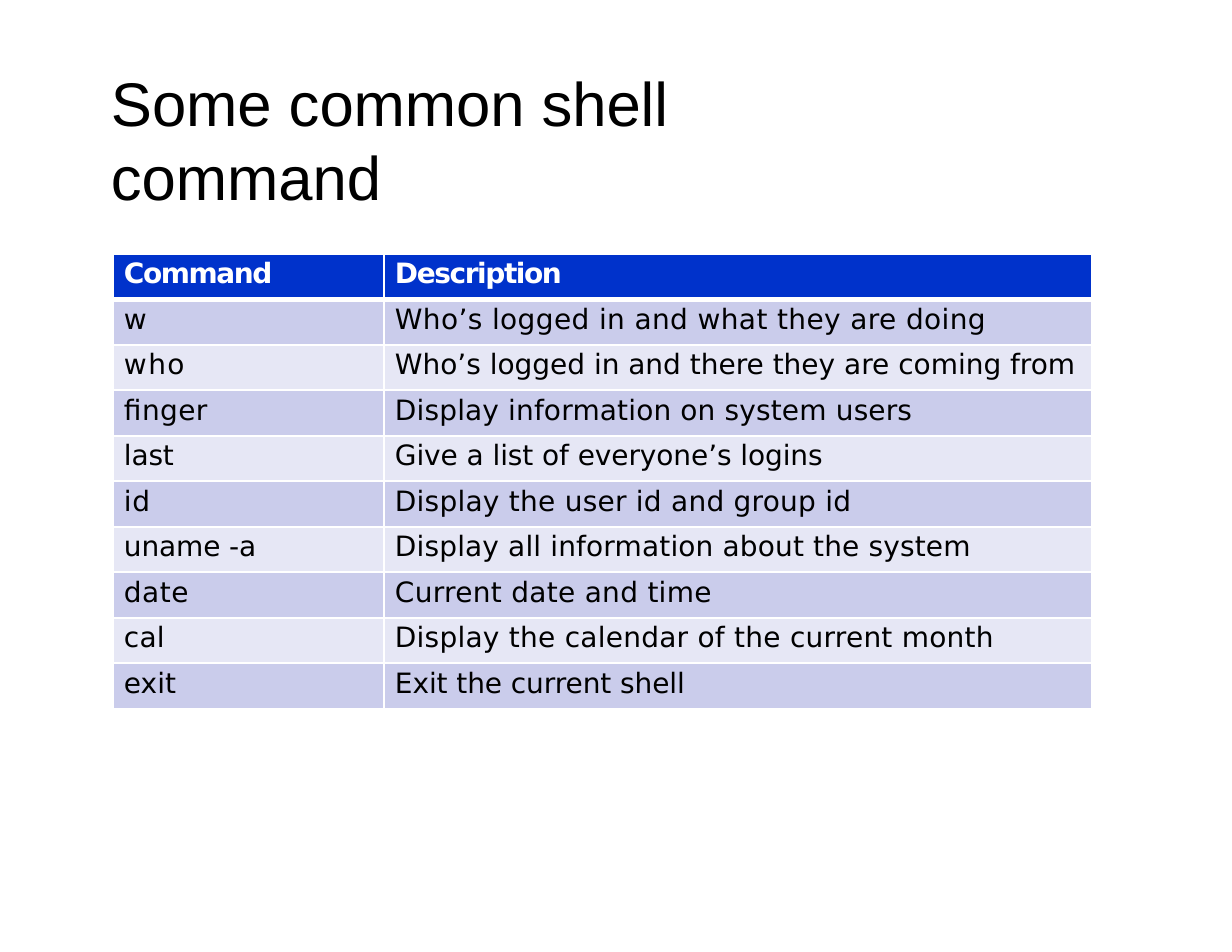
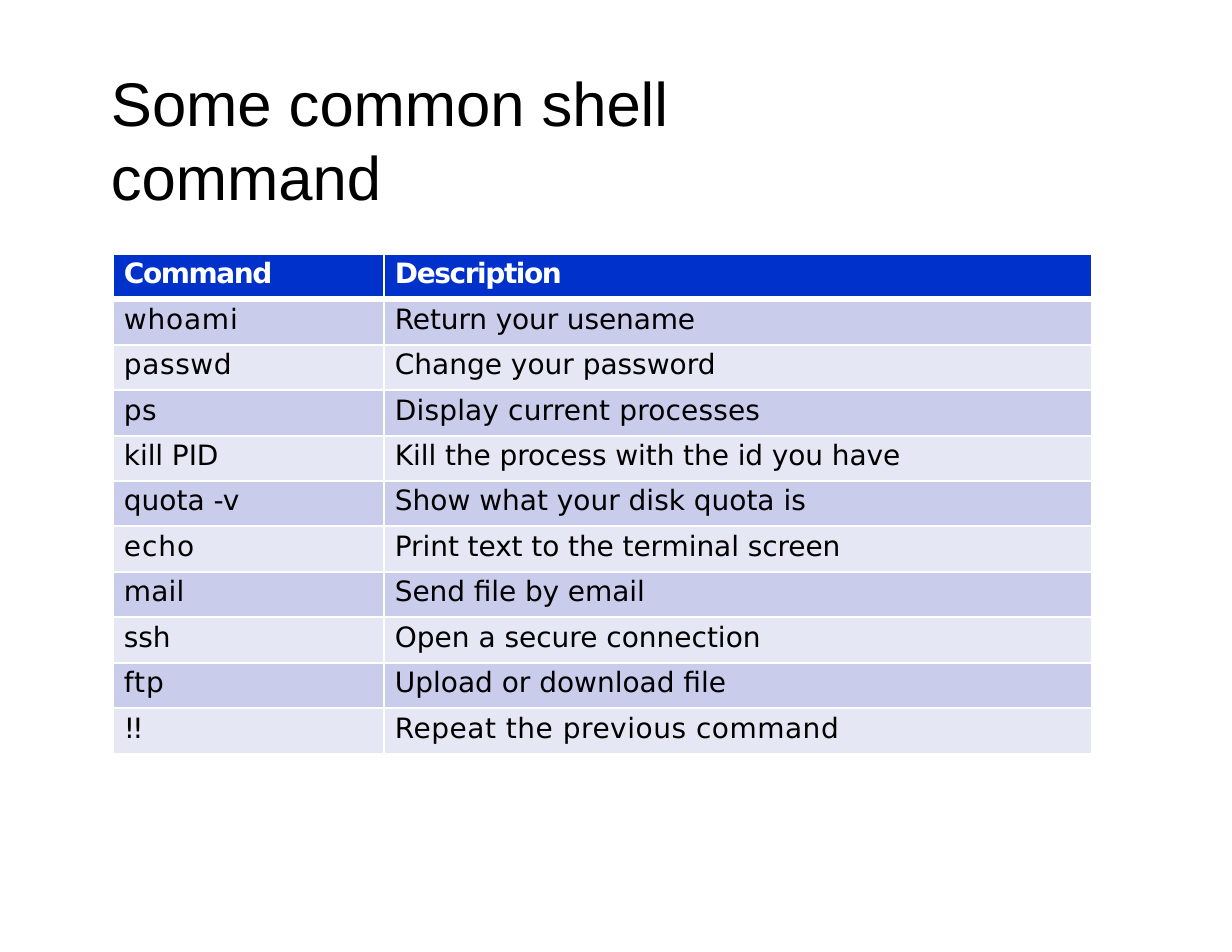
"""Build two slides that list common shell commands in tables."""
from dataclasses import dataclass

from lxml.etree import SubElement
from pptx import Presentation
from pptx.dml.color import RGBColor
from pptx.enum.text import MSO_ANCHOR, MSO_AUTO_SIZE, PP_ALIGN
from pptx.oxml.ns import qn
from pptx.presentation import Presentation as Deck
from pptx.slide import Slide
from pptx.table import _Cell as Cell
from pptx.text.text import TextFrame
from pptx.util import Emu, Pt

WHITE = RGBColor(0xFF, 0xFF, 0xFF)
BLACK = RGBColor(0x00, 0x00, 0x00)
HEADER_BLUE = RGBColor(0x00, 0x32, 0xCB)
BAND_DARK = RGBColor(0xCA, 0xCC, 0xEB)
BAND_LIGHT = RGBColor(0xE6, 0xE7, 0xF5)

TITLE = "Some common shell command"
TITLE_FONT = "Arial"
TABLE_FONT = "DejaVu Sans"
TITLE_ONLY_LAYOUT = 5
PAGE_WIDTH, PAGE_HEIGHT = 1232, 952
COLUMN_WIDTHS = (271, 708)
TWO_ROWS_HEIGHT = 91
THIN_BORDER, OUTER_BORDER, HEADER_BORDER = 1.5, 1, 4.25


@dataclass(frozen=True)
class Label:
    """A cell text with its letter spacing in points."""

    text: str
    spacing: float = 0


@dataclass(frozen=True)
class CommandRow:
    """A command and what it does."""

    command: Label
    description: Label


HEADER = CommandRow(Label("Command", -0.9), Label("Description", -0.9))

SESSION_COMMANDS = [
    CommandRow(Label("w"), Label("Who’s logged in and what they are doing", 0.26)),
    CommandRow(Label("who", 0.9), Label("Who’s logged in and there they are coming from")),
    CommandRow(Label("finger", 0.2), Label("Display information on system users", 0.12)),
    CommandRow(Label("last", -0.1), Label("Give a list of everyone’s logins", -0.06)),
    CommandRow(Label("id", 0.4), Label("Display the user id and group id", 0.17)),
    CommandRow(Label("uname -a", -0.08), Label("Display all information about the system", 0.12)),
    CommandRow(Label("date", 0.3), Label("Current date and time", 0.2)),
    CommandRow(Label("cal", 0.1), Label("Display the calendar of the current month", 0.18)),
    CommandRow(Label("exit"), Label("Exit the current shell", -0.07)),
]

ACCOUNT_COMMANDS = [
    CommandRow(Label("whoami", 0.5), Label("Return your usename", -0.08)),
    CommandRow(Label("passwd", 0.4), Label("Change your password")),
    CommandRow(Label("ps", 0.3), Label("Display current processes", 0.1)),
    CommandRow(Label("kill PID", -0.07), Label("Kill the process with the id you have", -0.06)),
    CommandRow(Label("quota -v"), Label("Show what your disk quota is")),
    CommandRow(Label("echo", 0.6), Label("Print text to the terminal screen", -0.06)),
    CommandRow(Label("mail", 0.1), Label("Send file by email", -0.06)),
    CommandRow(Label("ssh", -0.1), Label("Open a secure connection")),
    CommandRow(Label("ftp", 0.6), Label("Upload or download file")),
    CommandRow(Label("!!", -1.8), Label("Repeat the previous command", 0.34)),
]


def px(length: int) -> Emu:
    """Turn pixels into EMU."""
    return Emu(round(length * 914400 / 112))


def write_text(frame: TextFrame, text: str, *, font: str, size: float,
               color: RGBColor = BLACK, bold: bool = False, spacing: float = 0) -> None:
    """Write one left-aligned line of formatted text."""
    para = frame.paragraphs[0]
    para.alignment = PP_ALIGN.LEFT
    span = para.add_run()
    span.text = text
    span.font.name = font
    span.font.size = Pt(size)
    span.font.bold = bold
    span.font.color.rgb = color
    span.font._element.set("spc", str(round(spacing * 100)))


def set_borders(cell: Cell, **widths: float) -> None:
    """Give each named side of a cell a white line of its width in points."""
    properties = cell._tc.get_or_add_tcPr()
    for side, width in widths.items():
        line = SubElement(properties, qn(f"a:ln{side}"), w=str(Pt(width)))
        fill = SubElement(line, qn("a:solidFill"))
        SubElement(fill, qn("a:srgbClr"), val=str(WHITE))


def add_title(page: Slide) -> None:
    """Place and fill the title placeholder."""
    box = page.shapes.title
    box.left, box.top, box.width, box.height = px(111), px(103), px(729), px(71)
    frame = box.text_frame
    frame.margin_left = frame.margin_right = frame.margin_bottom = 0
    frame.margin_top = px(1)
    frame.word_wrap = True
    frame.vertical_anchor = MSO_ANCHOR.MIDDLE
    frame.auto_size = MSO_AUTO_SIZE.SHAPE_TO_FIT_TEXT
    write_text(frame, TITLE, font=TITLE_FONT, size=39.6, spacing=-0.04)


def fill_cell(cell: Cell, label: Label, row: int, column: int) -> None:
    """Format and fill one cell by its place in the table."""
    is_header = row == 0
    cell.margin_left, cell.margin_top = px(11), px(4)
    cell.margin_right = cell.margin_bottom = 0
    set_borders(
        cell,
        L=THIN_BORDER,
        R=OUTER_BORDER if column == len(COLUMN_WIDTHS) - 1 else THIN_BORDER,
        T=HEADER_BORDER if row == 1 else THIN_BORDER,
        B=HEADER_BORDER if is_header else THIN_BORDER,
    )
    cell.fill.solid()
    band = BAND_DARK if row % 2 else BAND_LIGHT
    cell.fill.fore_color.rgb = HEADER_BLUE if is_header else band
    write_text(cell.text_frame, label.text, font=TABLE_FONT, size=18,
               color=WHITE if is_header else BLACK, bold=is_header, spacing=label.spacing)


def add_command_table(page: Slide, commands: list[CommandRow]) -> None:
    """Draw the header and one row for each command."""
    rows = [HEADER, *commands]
    height = round(len(rows) * TWO_ROWS_HEIGHT / 2)
    table = page.shapes.add_table(len(rows), len(COLUMN_WIDTHS), px(113), px(254),
                                  px(sum(COLUMN_WIDTHS)), px(height)).table
    for column, width in zip(table.columns, COLUMN_WIDTHS):
        column.width = px(width)
    for row, entry in enumerate(rows):
        for column, label in enumerate((entry.command, entry.description)):
            fill_cell(table.cell(row, column), label, row, column)


def add_command_page(deck: Deck, commands: list[CommandRow]) -> None:
    """Add a slide with the shared title and a command table."""
    page = deck.slides.add_slide(deck.slide_layouts[TITLE_ONLY_LAYOUT])
    add_title(page)
    add_command_table(page, commands)


def main() -> None:
    """Build and save the deck."""
    deck = Presentation()
    deck.slide_width, deck.slide_height = px(PAGE_WIDTH), px(PAGE_HEIGHT)
    for commands in (SESSION_COMMANDS, ACCOUNT_COMMANDS):
        add_command_page(deck, commands)
    deck.save("out.pptx")


if __name__ == "__main__":
    main()
